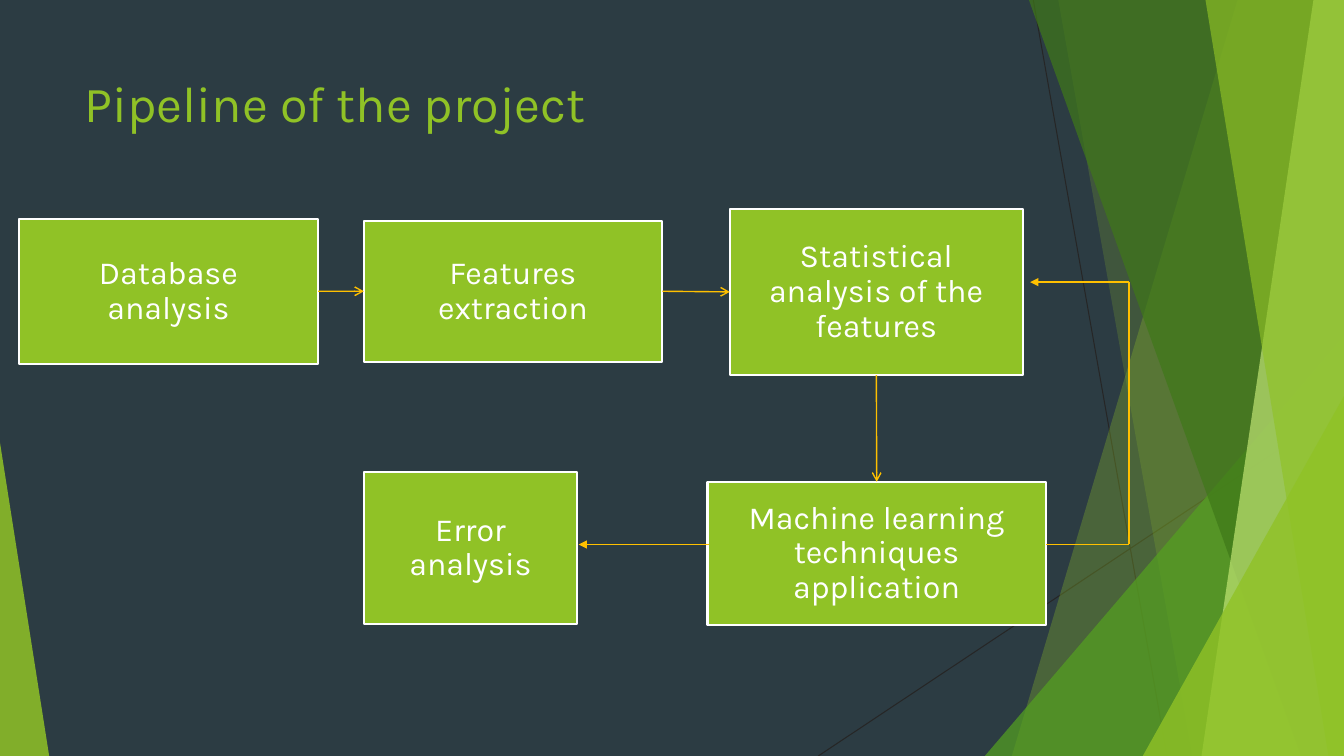
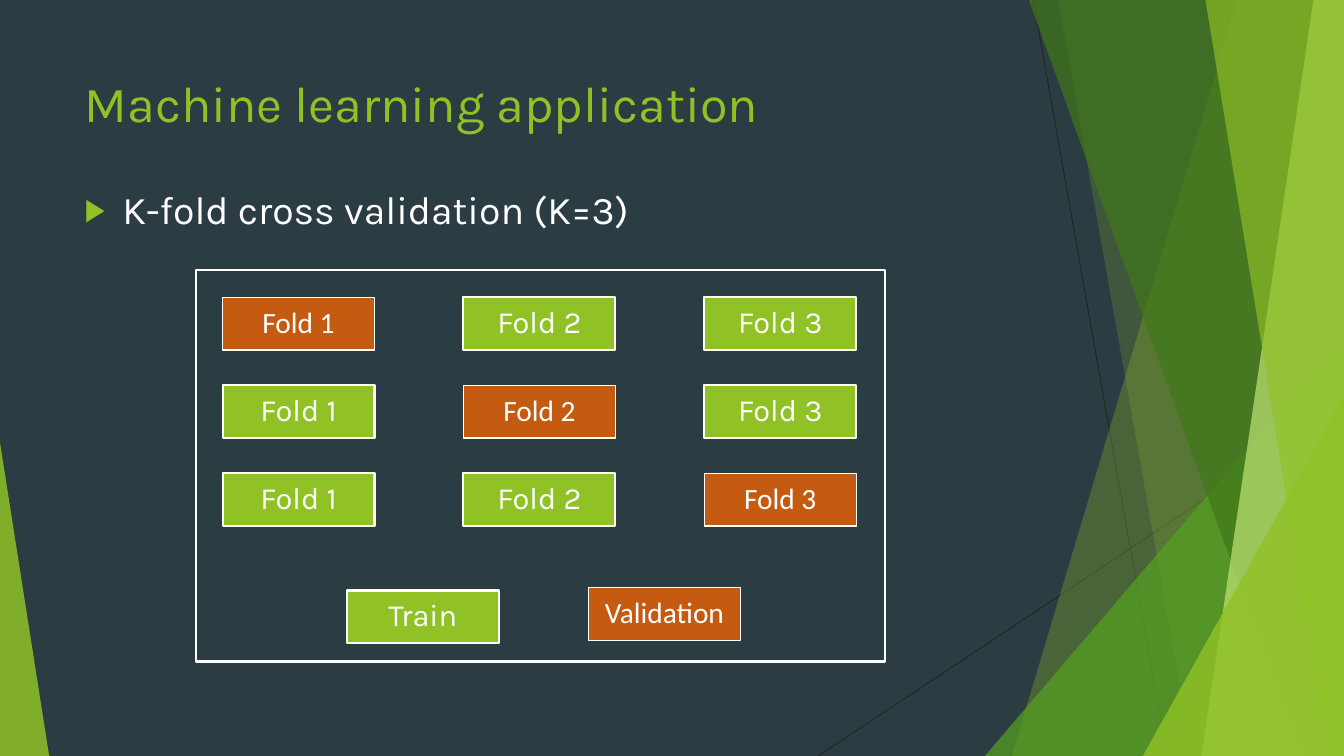
"""Build two slides on a machine learning project: its pipeline and its cross validation."""
from dataclasses import dataclass

from lxml import etree
from pptx import Presentation
from pptx.dml.color import RGBColor
from pptx.enum.shapes import MSO_CONNECTOR, MSO_SHAPE
from pptx.enum.text import MSO_ANCHOR, MSO_AUTO_SIZE, PP_ALIGN
from pptx.oxml.ns import qn
from pptx.shapes.autoshape import Shape
from pptx.shapes.connector import Connector
from pptx.slide import Slide, SlideLayout
from pptx.util import Cm, Pt

STRAIGHT = MSO_CONNECTOR.STRAIGHT
RECTANGLE = MSO_SHAPE.RECTANGLE
TRIANGLE = MSO_SHAPE.ISOSCELES_TRIANGLE
MIDDLE, TOP = MSO_ANCHOR.MIDDLE, MSO_ANCHOR.TOP
CENTER, LEFT = PP_ALIGN.CENTER, PP_ALIGN.LEFT
NO_AUTOSIZE = MSO_AUTO_SIZE.NONE
SIDE_TOP, SIDE_LEFT, SIDE_BOTTOM, SIDE_RIGHT = range(4)

SLATE = RGBColor(0x2C, 0x3C, 0x43)
GREEN = RGBColor(0x90, 0xC2, 0x26)
GRASS = RGBColor(0x54, 0xA0, 0x21)
FOREST = RGBColor(0x3F, 0x78, 0x19)
LIME = RGBColor(0xC0, 0xE4, 0x74)
ORANGE = RGBColor(0xC5, 0x5A, 0x11)
AMBER = RGBColor(0xFF, 0xC0, 0x00)
CHARCOAL = RGBColor(0x26, 0x26, 0x26)
WHITE = RGBColor(0xFF, 0xFF, 0xFF)

KARLA, CALIBRI = "Karla", "Calibri"
SLIDE_WIDTH, SLIDE_HEIGHT = 33.87, 19.05


@dataclass(frozen=True)
class Shard:
    """A band reaching the right edge, with a slanted left side."""
    top_x: float
    bottom_x: float
    color: RGBColor
    opacity: int


@dataclass(frozen=True)
class Corner:
    """A right triangle standing on the bottom edge."""
    left: float
    top: float
    width: float
    apex: int
    color: RGBColor
    opacity: int


@dataclass(frozen=True)
class Box:
    """A position and size in centimetres."""
    left: float
    top: float
    width: float
    height: float

    def lengths(self) -> tuple[Cm, Cm, Cm, Cm]:
        """Give the four values as lengths."""
        return Cm(self.left), Cm(self.top), Cm(self.width), Cm(self.height)


@dataclass(frozen=True)
class BoxStyle:
    """The look of a labelled box."""
    fill: RGBColor
    font: str
    size: int
    border: float
    inset: float


STAGE = BoxStyle(GREEN, KARLA, 23, 1.5, 0.46)
TRAIN = BoxStyle(GREEN, KARLA, 22, 1.5, 0.23)
VALIDATION = BoxStyle(ORANGE, CALIBRI, 21, 1, 0.23)

TITLE_BOX = Box(1.88, 1.7, 23.88, 3.66)
BODY_BOX = Box(1.88, 4.55, 23.88, 10.77)
FOLDS_FRAME = Box(4.93, 6.81, 17.37, 9.86)

RAYS = [
    ((26.04, 0), (29.41, SLIDE_HEIGHT)),
    ((SLIDE_WIDTH, 10.24), (20.62, SLIDE_HEIGHT)),
]
FACETS = [
    Shard(31.19, 25.5, GREEN, 30),
    Shard(26.67, 30.05, GREEN, 20),
    Corner(24.82, 8.46, 9.05, 1, GRASS, 72),
    Shard(25.93, 32.79, FOREST, 70),
    Shard(33.1, 30.28, LIME, 70),
    Shard(30.38, 33.48, GREEN, 65),
    Corner(28.8, 9.98, 5.07, 1, GREEN, 80),
    Corner(0, 11.15, 1.24, 0, GREEN, 85),
]

STAGES = {
    "Database analysis": Box(0.48, 5.51, 7.54, 3.66),
    "Features extraction": Box(9.17, 5.56, 7.52, 3.56),
    "Statistical analysis of the features": Box(18.39, 5.26, 7.39, 4.19),
    "Machine learning techniques application": Box(17.83, 12.14, 8.53, 3.61),
    "Error analysis": Box(9.17, 11.89, 5.38, 3.84),
}
RETURN_X, RETURN_TOP, RETURN_BOTTOM = 28.45, 7.11, 13.72
RETURN_LINES = [
    ((26.37, RETURN_BOTTOM), (RETURN_X, RETURN_BOTTOM), ""),
    ((RETURN_X, RETURN_BOTTOM), (RETURN_X, RETURN_TOP), ""),
    ((RETURN_X, RETURN_TOP), (25.96, RETURN_TOP), "triangle"),
    ((17.88, RETURN_BOTTOM), (14.58, RETURN_BOTTOM), "triangle"),
]

FOLD_COUNT = 3
FOLD_LEFT, FOLD_TOP, FOLD_WIDTH, FOLD_HEIGHT = 5.61, 7.49, 3.83, 1.33
FOLD_STEP_X, FOLD_STEP_Y = 6.07, 2.22


def add_line(slide: Slide, start: tuple[float, float], end: tuple[float, float],
             color: RGBColor, width: float, head: str = "") -> Connector:
    """Draw a straight line, with an arrowhead at its end if one is named."""
    line = slide.shapes.add_connector(
        STRAIGHT, *(Cm(value) for value in (*start, *end)))
    line.line.color.rgb = color
    line.line.width = Pt(width)
    properties = line.element.spPr
    if head:
        etree.SubElement(properties.find(qn("a:ln")), qn("a:tailEnd"), type=head)
    etree.SubElement(properties, qn("a:effectLst"))
    return line


def add_facet(slide: Slide, facet: Shard | Corner) -> Shape:
    """Draw one translucent facet of the backdrop."""
    if isinstance(facet, Corner):
        extent = Box(facet.left, facet.top, facet.width, SLIDE_HEIGHT - facet.top)
        shape = slide.shapes.add_shape(TRIANGLE, *extent.lengths())
        shape.adjustments[0] = facet.apex
    else:
        outline = slide.shapes.build_freeform(Cm(facet.top_x), 0)
        outline.add_line_segments([
            (Cm(SLIDE_WIDTH), 0),
            (Cm(SLIDE_WIDTH), Cm(SLIDE_HEIGHT)),
            (Cm(facet.bottom_x), Cm(SLIDE_HEIGHT)),
        ])
        shape = outline.convert_to_shape()
    shape.shadow.inherit = False
    shape.fill.solid()
    shape.fill.fore_color.rgb = facet.color
    shape.line.fill.background()
    tint = shape.element.spPr.find(qn("a:solidFill")).find(qn("a:srgbClr"))
    etree.SubElement(tint, qn("a:alpha"), val=str(facet.opacity * 1000))
    return shape


def move_backdrop_to_master(prs: Presentation, slide: Slide) -> None:
    """Draw the backdrop and place it on the master, behind its placeholders."""
    master = prs.slide_master
    master.background.fill.solid()
    master.background.fill.fore_color.rgb = SLATE
    backdrop = [add_line(slide, start, end, CHARCOAL, 0.75) for start, end in RAYS]
    backdrop += [add_facet(slide, facet) for facet in FACETS]
    for order, part in enumerate(backdrop):
        part.element.xpath(".//p:cNvPr")[0].set("id", str(100 + order))
        master.shapes.element.insert(2 + order, part.element)


def fill_placeholder(placeholder: Shape, box: Box, text: str,
                     size: int, color: RGBColor) -> None:
    """Place a placeholder and set its text and look."""
    (placeholder.left, placeholder.top,
     placeholder.width, placeholder.height) = box.lengths()
    frame = placeholder.text_frame
    frame.text = text
    frame.auto_size = NO_AUTOSIZE
    frame.vertical_anchor = TOP
    paragraph = frame.paragraphs[0]
    paragraph.alignment = LEFT
    paragraph.font.name = KARLA
    paragraph.font.size = Pt(size)
    paragraph.font.color.rgb = color


def add_titled_slide(prs: Presentation, layout: SlideLayout, title: str) -> Slide:
    """Add a slide with the shared title style."""
    slide = prs.slides.add_slide(layout)
    fill_placeholder(slide.shapes.title, TITLE_BOX, title, 36, GREEN)
    return slide


def add_box(slide: Slide, box: Box, text: str, style: BoxStyle) -> Shape:
    """Draw a white-bordered box with a centred label."""
    shape = slide.shapes.add_shape(RECTANGLE, *box.lengths())
    shape.shadow.inherit = False
    shape.fill.solid()
    shape.fill.fore_color.rgb = style.fill
    shape.line.color.rgb = WHITE
    shape.line.width = Pt(style.border)
    frame = shape.text_frame
    frame.text = text
    frame.word_wrap = True
    frame.vertical_anchor = MIDDLE
    frame.margin_left = frame.margin_right = Cm(style.inset)
    frame.margin_top = frame.margin_bottom = Cm(style.inset)
    paragraph = frame.paragraphs[0]
    paragraph.alignment = CENTER
    paragraph.line_spacing = 0.9
    paragraph.font.name = style.font
    paragraph.font.size = Pt(style.size)
    paragraph.font.color.rgb = WHITE
    return shape


def add_bullet(body: Shape) -> None:
    """Give the first paragraph a green arrow bullet."""
    paragraph = body.text_frame.paragraphs[0]
    paragraph.space_before = Pt(10)
    properties = paragraph._p.get_or_add_pPr()
    properties.set("marL", str(Cm(0.95)))
    properties.set("indent", str(-Cm(0.95)))
    bullet_color = etree.SubElement(properties, qn("a:buClr"))
    etree.SubElement(bullet_color, qn("a:srgbClr"), val=str(GREEN))
    etree.SubElement(properties, qn("a:buSzPct"), val="80000")
    etree.SubElement(properties, qn("a:buChar"), char="▶")


def draw_pipeline(slide: Slide) -> None:
    """Draw the project stages and the arrows between them."""
    database, features, statistics, learning, _ = [
        add_box(slide, box, text, STAGE) for text, box in STAGES.items()]
    for source, source_side, target, target_side in [
        (database, SIDE_RIGHT, features, SIDE_LEFT),
        (features, SIDE_RIGHT, statistics, SIDE_LEFT),
        (statistics, SIDE_BOTTOM, learning, SIDE_TOP),
    ]:
        arrow = add_line(slide, (0, 0), (1, 1), AMBER, 1, "arrow")
        arrow.begin_connect(source, source_side)
        arrow.end_connect(target, target_side)
    for start, end, head in RETURN_LINES:
        add_line(slide, start, end, AMBER, 1, head)


def draw_folds(slide: Slide) -> None:
    """Draw the grid of folds, its legend and the frame around them."""
    for row in range(FOLD_COUNT):
        for column in range(FOLD_COUNT):
            box = Box(FOLD_LEFT + column * FOLD_STEP_X, FOLD_TOP + row * FOLD_STEP_Y,
                      FOLD_WIDTH, FOLD_HEIGHT)
            style = VALIDATION if row == column else TRAIN
            add_box(slide, box, f"Fold {column + 1}", style)
    add_box(slide, Box(8.74, 14.88, FOLD_WIDTH, FOLD_HEIGHT), "Train", TRAIN)
    add_box(slide, Box(14.83, 14.81, FOLD_WIDTH, FOLD_HEIGHT), "Validation", VALIDATION)
    frame = slide.shapes.add_shape(RECTANGLE, *FOLDS_FRAME.lengths())
    frame.shadow.inherit = False
    frame.fill.background()
    frame.line.color.rgb = WHITE
    frame.line.width = Pt(1.5)


def main() -> None:
    """Build and save the presentation."""
    prs = Presentation()
    prs.slide_width, prs.slide_height = Cm(SLIDE_WIDTH), Cm(SLIDE_HEIGHT)
    title_and_content, title_only = prs.slide_layouts[1], prs.slide_layouts[5]

    pipeline = add_titled_slide(prs, title_only, "Pipeline of the project")
    move_backdrop_to_master(prs, pipeline)
    draw_pipeline(pipeline)

    validation = add_titled_slide(prs, title_and_content, "Machine learning application")
    body = validation.placeholders[1]
    fill_placeholder(body, BODY_BOX, "K-fold cross validation (K=3)", 28, WHITE)
    add_bullet(body)
    draw_folds(validation)

    prs.save("out.pptx")


if __name__ == "__main__":
    main()
